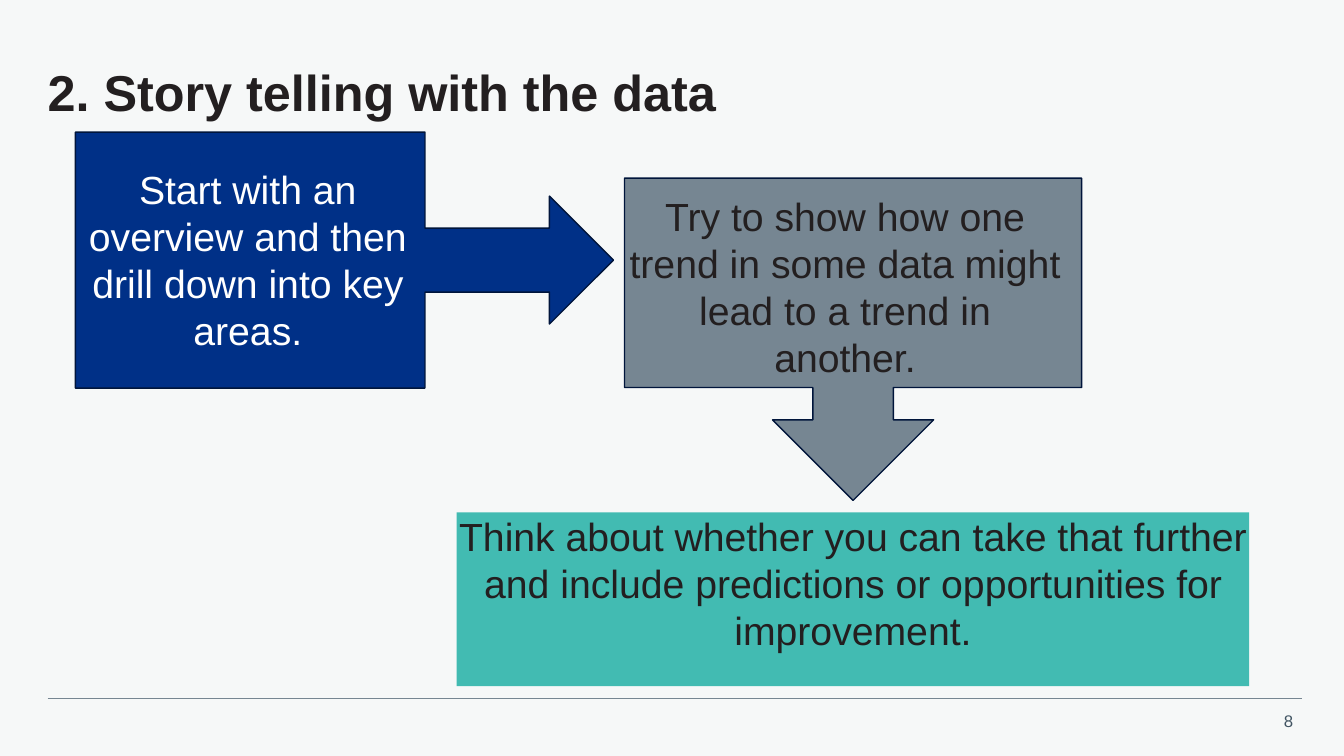
from lxml.etree import SubElement
from pptx import Presentation
from pptx.dml.color import RGBColor
from pptx.enum.shapes import MSO_CONNECTOR, MSO_SHAPE
from pptx.enum.text import MSO_ANCHOR, PP_ALIGN
from pptx.oxml.ns import qn
from pptx.util import Cm, Pt

COLOURS = {
    "background": "F6F8F8",
    "blue": "003087",
    "grey": "768692",
    "teal": "42BBB2",
    "outline": "00153B",
    "dark": "231F20",
    "white": "FFFFFF",
    "number": "425563",
}


def colour(name):
    return RGBColor.from_string(COLOURS[name])


def write(shape, text, size, colour_name, alignment, inset=None):
    """Fill the shape's text frame with one paragraph and return the paragraph."""
    frame = shape.text_frame
    frame.word_wrap = True
    frame.vertical_anchor = MSO_ANCHOR.TOP
    if inset is not None:
        frame.margin_left = frame.margin_right = inset
        frame.margin_top = frame.margin_bottom = inset
    paragraph = frame.paragraphs[0]
    paragraph.text = text
    paragraph.alignment = alignment
    paragraph.font.name = "Arial"
    paragraph.font.size = Pt(size)
    paragraph.font.color.rgb = colour(colour_name)
    return paragraph


presentation = Presentation()
presentation.slide_width = Cm(33.87)
presentation.slide_height = Cm(19.05)
slide = presentation.slides.add_slide(presentation.slide_layouts[6])
slide.background.fill.solid()
slide.background.fill.fore_color.rgb = colour("background")
shapes = slide.shapes

# Footer
number_box = shapes.add_textbox(Cm(31.8), Cm(17.78), Cm(1.04), Cm(0.77))
write(number_box, "8", 12, "number", PP_ALIGN.RIGHT)
number_box.text_frame.word_wrap = False

footer_line = shapes.add_connector(
    MSO_CONNECTOR.STRAIGHT, Cm(1.2), Cm(17.6), Cm(32.8), Cm(17.6))
footer_line.line.color.rgb = colour("grey")
footer_line.line.width = Pt(0.5)
SubElement(footer_line._element.spPr, qn("a:effectLst"))

# Title
title = shapes.add_textbox(Cm(1.2), Cm(1.2), Cm(31.67), Cm(2.4))
title_paragraph = write(
    title, "2. Story telling with the data", 36, "dark", PP_ALIGN.LEFT, inset=0)
title_paragraph.font.bold = True
title_paragraph.line_spacing = 0.9
title.text_frame.vertical_anchor = MSO_ANCHOR.MIDDLE

# Arrow callouts, each with its caption: (left, top, width, height) in cm
steps = [
    (MSO_SHAPE.DOWN_ARROW_CALLOUT, "grey", (15.74, 4.49, 11.52, 8.12),
     "Try to show how one trend in some data might lead to a trend in another.",
     "dark", (15.47, 4.72, 11.65, 5.05)),
    (MSO_SHAPE.RIGHT_ARROW_CALLOUT, "blue", (1.9, 3.33, 13.56, 6.45),
     "Start with an overview and then drill down into key areas.",
     "white", (1.9, 4.03, 8.69, 5.05)),
]
for kind, fill, callout_box, text, text_colour, caption_box in steps:
    callout = shapes.add_shape(kind, *map(Cm, callout_box))
    callout.shadow.inherit = False
    callout.fill.solid()
    callout.fill.fore_color.rgb = colour(fill)
    callout.line.color.rgb = colour("outline")
    callout.line.width = Pt(1)
    caption = shapes.add_textbox(*map(Cm, caption_box))
    write(caption, text, 28, text_colour, PP_ALIGN.CENTER)

# Closing step
closing = shapes.add_shape(
    MSO_SHAPE.RECTANGLE, Cm(11.51), Cm(12.91), Cm(19.97), Cm(4.38))
closing.shadow.inherit = False
closing.fill.solid()
closing.fill.fore_color.rgb = colour("teal")
closing.line.fill.background()
closing_paragraph = write(
    closing,
    "Think about whether you can take that further and include predictions "
    "or opportunities for improvement.",
    28, "dark", PP_ALIGN.CENTER, inset=0)
closing_paragraph.space_after = Pt(6)

presentation.save("out.pptx")
